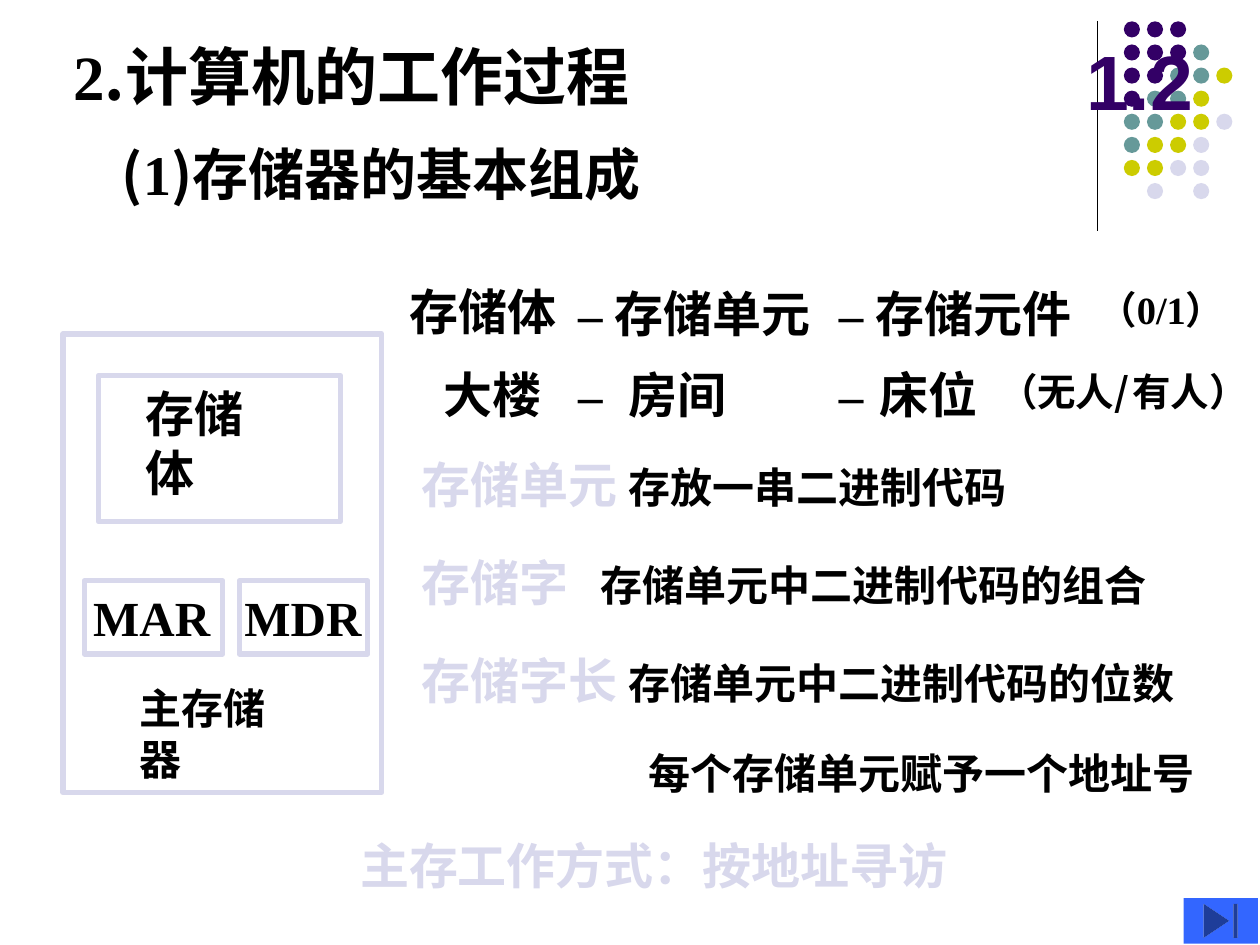
from lxml.etree import SubElement
from pptx import Presentation
from pptx.dml.color import RGBColor
from pptx.enum.shapes import MSO_CONNECTOR, MSO_SHAPE
from pptx.enum.text import MSO_ANCHOR, PP_ALIGN
from pptx.oxml.ns import qn
from pptx.util import Pt

COLORS = {"ink": "000000", "purple": "330066", "teal": "669999",
          "lime": "CCCC00", "pale": "D8D8EC", "blue": "3366FF"}
HAN, ROMAN, SANS = "Noto Sans CJK SC", "Times New Roman", "Arial"
DOTS = ["PPP", "PPPT", "PPTTY", "PTTY", "TTYYL", "TYYL", "YYLL", ".L.L"]
KEYS = {"P": "purple", "T": "teal", "Y": "lime", "L": "pale"}


def rgb(name):
    return RGBColor.from_string(COLORS[name])


class Board:
    def __init__(self, slide, size=28, font=HAN, color="ink"):
        self.slide = slide
        self.size, self.font, self.color = size, font, color

    def shape(self, kind, x, y, w, h, fill=None, line=None):
        item = self.slide.shapes.add_shape(kind, Pt(x), Pt(y), Pt(w), Pt(h))
        item.shadow.inherit = False
        if fill:
            item.fill.solid()
            item.fill.fore_color.rgb = rgb(fill)
        else:
            item.fill.background()
        if line:
            item.line.color.rgb = rgb(line)
            item.line.width = Pt(3)
        else:
            item.line.fill.background()

    def frame(self, x, y, w, h):
        self.shape(MSO_SHAPE.RECTANGLE, x, y, w, h, line="pale")

    def rule(self, x, top, end):
        item = self.slide.shapes.add_connector(
            MSO_CONNECTOR.STRAIGHT, Pt(x), Pt(top), Pt(x), Pt(end))
        item.line.color.rgb = rgb("ink")
        item.line.width = Pt(0.75)
        SubElement(item._element.spPr, qn("a:effectLst"))

    def text(self, x, y, w, *runs, size=None, left=7.2, right=7.2,
             wrap=True, center=False, tab=None):
        """Each run is a string or (string, changes to size, font or color)."""
        size = size or self.size
        box = self.slide.shapes.add_textbox(
            Pt(x), Pt(y), Pt(w), Pt(1.2 * size + 7.2))
        frame = box.text_frame
        frame.word_wrap = wrap
        frame.vertical_anchor = MSO_ANCHOR.MIDDLE
        frame.margin_left, frame.margin_right = Pt(left), Pt(right)
        para = frame.paragraphs[0]
        para.alignment = PP_ALIGN.CENTER if center else PP_ALIGN.LEFT
        if tab:
            stops = SubElement(para._p.get_or_add_pPr(), qn("a:tabLst"))
            SubElement(stops, qn("a:tab"), pos=str(Pt(tab)), algn="l")
        for part in runs:
            words, style = (part, {}) if isinstance(part, str) else part
            run = para.add_run()
            run.text = words
            font = run.font
            font.size = Pt(style.get("size", size))
            font.bold = True
            font.color.rgb = rgb(style.get("color", self.color))
            font.name = style.get("font", self.font)
            SubElement(run._r.get_or_add_rPr(), qn("a:ea"), typeface=font.name)


def main():
    deck = Presentation()
    deck.slide_width, deck.slide_height = Pt(720), Pt(540)
    board = Board(deck.slides.add_slide(deck.slide_layouts[6]))
    roman, pale = {"font": ROMAN}, {"color": "pale"}

    # Corner ornament
    board.rule(627, 12, 132)
    for row, marks in enumerate(DOTS):
        for col, mark in enumerate(marks):
            if mark in KEYS:
                board.shape(MSO_SHAPE.OVAL, 642.2 + 13.2 * col,
                            12.2 + 13.2 * row, 9.2, 9.2, fill=KEYS[mark])

    # Headings
    board.text(2.9, 18, 402.5, ("2", roman), ".计算机的工作过程",
               size=36, left=0, center=True)
    board.text(62.6, 76.3, 490, "(", ("1", roman), ")存储器的基本组成", size=32)
    board.text(606.2, 15.5, 90, ("1.2", {"font": SANS, "color": "purple"}),
               size=44, center=True)

    # Memory and its likeness to a building
    dash = ("– ", roman)
    board.text(226.8, 157, 111, "存储体")
    board.text(323.3, 158.4, 178.6, dash, "存储单元")
    board.text(472.3, 158.4, 177, dash, "存储元件")
    board.text(620.6, 159.8, 99.4, "（", ("0/1", roman), "）", size=22)
    board.text(246.2, 204.5, 91.4, "大楼")
    board.text(323.3, 204.5, 133, ("–\t", roman), "房间", tab=29)
    board.text(472.3, 204.5, 134, dash, (" ", {"size": 9}), "床位")
    board.text(563.8, 206.6, 198.7, "（无人/", (" ", {"size": 8}), "有人）",
               size=22)

    # Terms
    terms = [("存储单元 ", "存放一串二进制代码", 456),
             ("存储字\t", "存储单元中二进制代码的组合", 549),
             ("存储字长 ", "存储单元中二进制代码的位数", 522)]
    for row, (term, sense, width) in enumerate(terms):
        board.text(234, 256.3 + 55.8 * row, width, (term, pale),
                   (sense, {"size": 24}), tab=102)
    board.text(363.6, 423.4, 381, "每个存储单元赋予一个地址号", size=24)
    board.text(198.7, 473.8, 428.4, ("主存工作方式：按地址寻访", pale))

    # Main memory diagram
    board.frame(36, 190.8, 182.2, 262)
    board.frame(56.2, 214.6, 138.2, 83.5)
    board.frame(48.2, 331.9, 79.2, 41.8)
    board.frame(136.8, 331.9, 73.4, 41.8)
    board.text(76.3, 232.6, 98, "存储体", wrap=False)
    board.text(53.3, 332, 74.2, ("MAR", roman), left=0, wrap=False)
    board.text(139.7, 332, 82, ("MDR", roman), left=0, right=0)
    board.text(79.9, 401, 95.8, "主存储器", size=24, left=0, right=0,
               wrap=False)

    board.shape(MSO_SHAPE.ACTION_BUTTON_END, 676.3, 513.2, 42.5, 26,
                fill="blue")
    deck.save("out.pptx")


if __name__ == "__main__":
    main()
